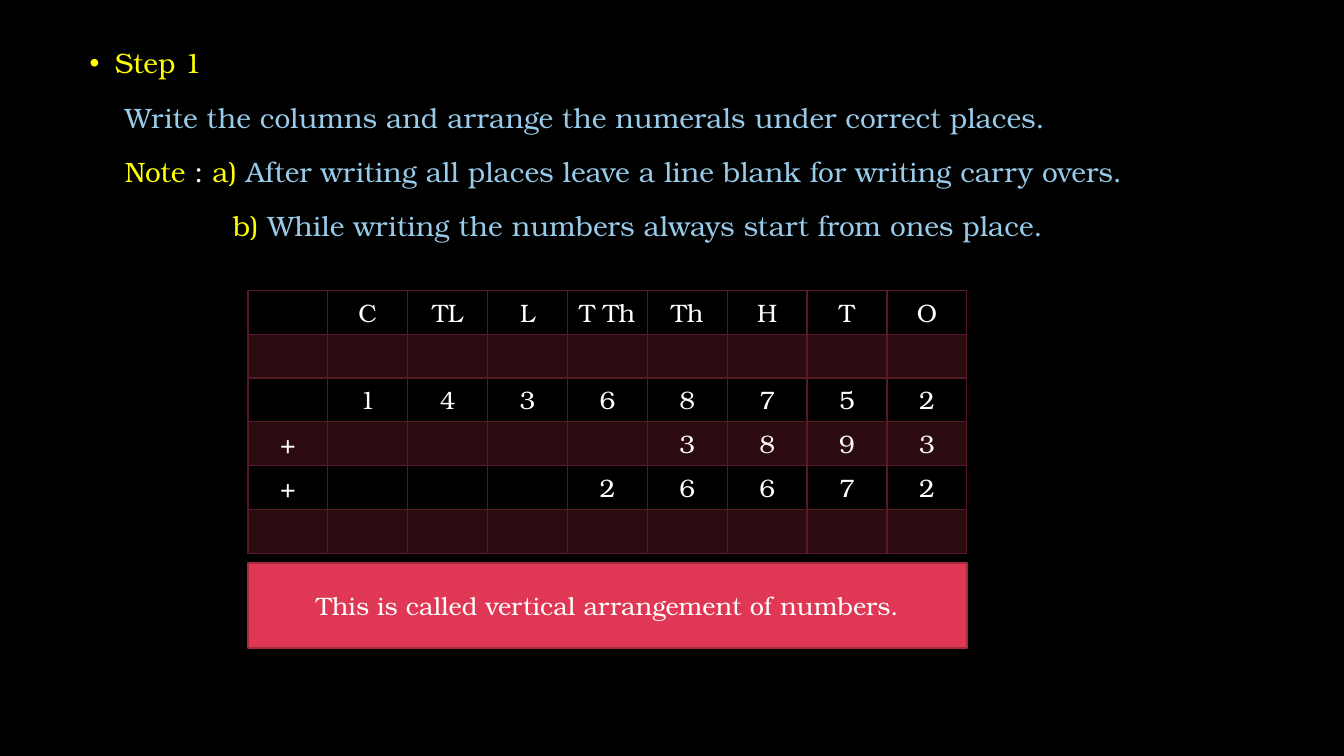
from dataclasses import dataclass

from lxml import etree
from pptx import Presentation
from pptx.dml.color import RGBColor as Color
from pptx.enum.shapes import MSO_SHAPE as Shape
from pptx.enum.text import MSO_ANCHOR as Anchor, PP_ALIGN as Align
from pptx.oxml import parse_xml
from pptx.oxml.ns import nsdecls, qn
from pptx.util import Inches, Pt


@dataclass(frozen=True)
class Theme:
    font: str = "TeX Gyre Bonum"
    background: str = "000000"
    white: str = "FFFFFF"
    yellow: str = "FFFF00"
    blue: str = "97CBE9"
    red: str = "E03754"
    box_line: str = "A6293E"
    grid: str = "571A26"
    band_alpha: int = 20000
    step_size: int = 20
    table_size: int = 18


THEME = Theme()

STEP_LINES = [
    (0.25, [("Step 1", THEME.yellow)]),
    (0.35, [("Write the columns and arrange the numerals under correct places.", THEME.blue)]),
    (0.35, [
        ("Note ", THEME.yellow),
        (":", THEME.white),
        (" a) ", THEME.yellow),
        ("After writing all places leave a line blank for writing carry overs.", THEME.blue),
    ]),
    (1.42, [
        ("b)", THEME.yellow),
        (" While writing the numbers always start from ones place.", THEME.blue),
    ]),
]
PLACES = ["", "C", "TL", "L", "T Th", "Th", "H", "T", "O"]
ADDENDS = [("", "14368752"), ("+", "3893"), ("+", "26672")]
CAPTION = "This is called vertical arrangement of numbers."

TABLE_LEFT, TABLE_TOP = Inches(2.46), Inches(2.88)
TABLE_WIDTH, TABLE_HEIGHT = Inches(7.13), Inches(2.61)


def style_font(paragraph, size, color=THEME.white):
    paragraph.font.name = THEME.font
    paragraph.font.size = Pt(size)
    paragraph.font.color.rgb = Color.from_string(color)


def add_steps(slide):
    box = slide.shapes.add_textbox(Inches(0.79), Inches(0.34), Inches(11.32), Inches(2.4))
    frame = box.text_frame
    frame.word_wrap = True
    for index, (indent, runs) in enumerate(STEP_LINES):
        paragraph = frame.add_paragraph() if index else frame.paragraphs[0]
        paragraph.line_spacing = 1.2
        paragraph.space_before = Pt(10)
        properties = paragraph._p.get_or_add_pPr()
        properties.set("marL", str(Inches(indent)))
        properties.set("indent", str(0 if index else -Inches(indent)))
        if index == 0:
            etree.SubElement(properties, qn("a:buFont")).set("typeface", "Arial")
            etree.SubElement(properties, qn("a:buChar")).set("char", "•")
        style_font(paragraph, THEME.step_size)
        for text, color in runs:
            run = paragraph.add_run()
            run.text = text
            run.font.color.rgb = Color.from_string(color)


def style_cell(cell, banded):
    properties = cell._tc.get_or_add_tcPr()
    for side in ("lnL", "lnR", "lnT", "lnB"):
        properties.append(parse_xml(
            f'<a:{side} {nsdecls("a")} w="{Pt(1)}"><a:solidFill>'
            f'<a:srgbClr val="{THEME.grid}"/></a:solidFill></a:{side}>'
        ))
    if not banded:
        cell.fill.background()
        return
    cell.fill.solid()
    cell.fill.fore_color.rgb = Color.from_string(THEME.red)
    color = properties.find(qn("a:solidFill")).find(qn("a:srgbClr"))
    etree.SubElement(color, qn("a:alpha")).set("val", str(THEME.band_alpha))


def add_sum_table(slide):
    count = len(PLACES)
    blank = [""] * count
    numbers = [[sign] + list(digits.rjust(count - 1)) for sign, digits in ADDENDS]
    rows = [PLACES, blank, *numbers, blank]
    table = slide.shapes.add_table(
        len(rows), count, TABLE_LEFT, TABLE_TOP, TABLE_WIDTH, TABLE_HEIGHT
    ).table
    table.first_row = False
    table.horz_banding = False
    for row_index, row in enumerate(rows):
        for column_index, text in enumerate(row):
            cell = table.cell(row_index, column_index)
            cell.text = text.strip()
            paragraph = cell.text_frame.paragraphs[0]
            paragraph.alignment = Align.CENTER
            style_font(paragraph, THEME.table_size)
            style_cell(cell, row_index % 2 == 1)


def add_caption(slide):
    box = slide.shapes.add_shape(
        Shape.RECTANGLE, TABLE_LEFT, Inches(5.59), TABLE_WIDTH, Inches(0.84)
    )
    box.shadow.inherit = False
    box.fill.solid()
    box.fill.fore_color.rgb = Color.from_string(THEME.red)
    box.line.color.rgb = Color.from_string(THEME.box_line)
    box.line.width = Pt(1.5)
    frame = box.text_frame
    frame.word_wrap = True
    frame.vertical_anchor = Anchor.MIDDLE
    frame.text = CAPTION
    paragraph = frame.paragraphs[0]
    paragraph.alignment = Align.CENTER
    style_font(paragraph, THEME.table_size)


def main():
    presentation = Presentation()
    presentation.slide_width = Inches(13.33)
    presentation.slide_height = Inches(7.5)
    slide = presentation.slides.add_slide(presentation.slide_layouts[6])
    slide.background.fill.solid()
    slide.background.fill.fore_color.rgb = Color.from_string(THEME.background)
    add_steps(slide)
    add_sum_table(slide)
    add_caption(slide)
    presentation.save("out.pptx")


if __name__ == "__main__":
    main()
